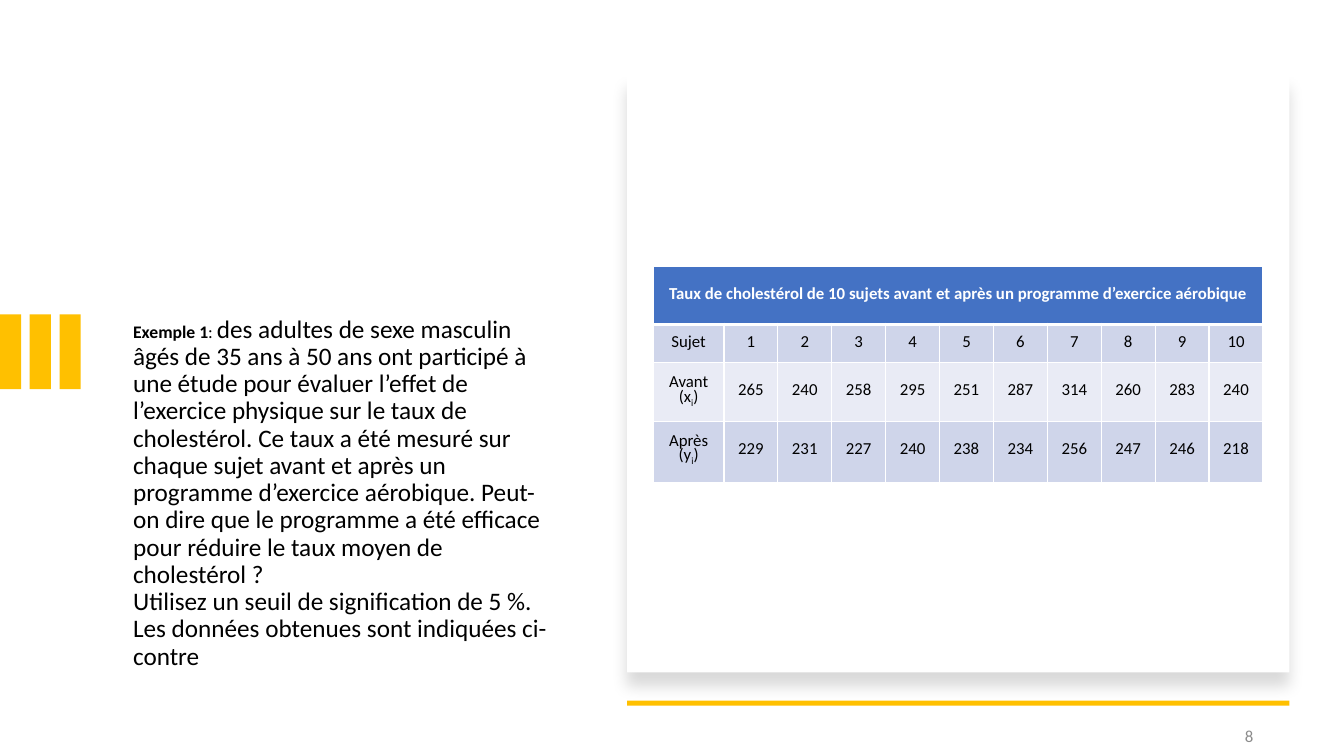
from lxml import etree
from pptx import Presentation
from pptx.dml.color import RGBColor
from pptx.enum.shapes import MSO_SHAPE
from pptx.enum.text import MSO_ANCHOR, MSO_AUTO_SIZE, PP_ALIGN
from pptx.oxml.ns import qn
from pptx.util import Pt

RECT = MSO_SHAPE.RECTANGLE
TOP, MIDDLE = MSO_ANCHOR.TOP, MSO_ANCHOR.MIDDLE
LEFT, CENTER, RIGHT = PP_ALIGN.LEFT, PP_ALIGN.CENTER, PP_ALIGN.RIGHT
NO_FIT = MSO_AUTO_SIZE.NONE
TITLE_ONLY = 5
FONT = "Calibri"
COLORS = {
    "text": "000000", "white": "FFFFFF", "accent": "FFC000", "number": "8C8C8C",
    "header": "4472C4", "dark_band": "CFD5EA", "light_band": "E9EBF5",
}
QUESTION = [
    "des adultes de sexe masculin âgés de 35 ans à 50 ans ont participé à une étude "
    "pour évaluer l’effet de l’exercice physique sur le taux de cholestérol. Ce taux a "
    "été mesuré sur chaque sujet avant et après un programme d’exercice aérobique. "
    "Peut-on dire que le programme a été efficace pour réduire le taux moyen de "
    "cholestérol ?",
    "Utilisez un seuil de signification de 5 %.",
    "Les données obtenues sont indiquées ci-contre",
]
CAPTION = "Taux de cholestérol de 10 sujets avant et après un programme d’exercice aérobique"
BEFORE = [265, 240, 258, 295, 251, 287, 314, 260, 283, 240]
AFTER = [229, 231, 227, 240, 238, 234, 256, 247, 246, 218]


def px(n):
    """Turn px, at 100 to the inch, into EMU."""
    return int(n * 9144)


def rgb(name):
    """Return a named colour."""
    return RGBColor.from_string(COLORS[name])


def add_run(p, text, size=12, color="text", bold=False, baseline=0):
    """Append a formatted run to a paragraph."""
    r = p.add_run()
    r.text = text
    r.font.name, r.font.size, r.font.bold = FONT, Pt(size), bold
    r.font.color.rgb = rgb(color)
    if baseline:
        r.font._element.set("baseline", str(baseline * 1000))


def add_rect(s, x, y, w, h, color):
    """Add a plain filled rectangle."""
    sp = s.shapes.add_shape(RECT, px(x), px(y), px(w), px(h))
    sp.shadow.inherit = False
    sp.fill.solid()
    sp.fill.fore_color.rgb = rgb(color)
    sp.line.fill.background()
    return sp


def add_question(s, x, y, w, h):
    """Place the exercise text in the title placeholder."""
    sp = s.shapes.title
    sp.left, sp.top, sp.width, sp.height = px(x), px(y), px(w), px(h)
    tf = sp.text_frame
    tf.word_wrap, tf.auto_size, tf.vertical_anchor = True, NO_FIT, TOP
    p = tf.paragraphs[0]
    p.alignment, p.line_spacing = LEFT, 0.9
    add_run(p, "Exemple 1", 12.6, bold=True)
    add_run(p, ": ", 12.6)
    for i, line in enumerate(QUESTION):
        if i:
            p.add_line_break()
        add_run(p, line, 18)


def add_bars(s, x, y, w, h, count=3):
    """Draw evenly spaced accent bars across the box."""
    bar = 21
    step = (w - bar) / (count - 1)
    for i in range(count):
        add_rect(s, x + i * step, y, bar, h, "accent")


def add_card(s, x, y, w, h):
    """Draw the shadowed card and the accent rule below it."""
    card = add_rect(s, x, y, w, h, "white")
    effects = card._element.spPr.find(qn("a:effectLst"))
    shadow = etree.SubElement(
        effects, qn("a:outerShdw"), blurRad=str(Pt(11)), dist=str(Pt(10)),
        dir="5400000", algn="t", rotWithShape="0")
    color = etree.SubElement(shadow, qn("a:srgbClr"), val=COLORS["text"])
    etree.SubElement(color, qn("a:alpha"), val="15000")
    add_rect(s, x, y + h + 28, w, 5, "accent")


def add_slide_number(s, x, y, w, h, number):
    """Place the slide number at the right of the box."""
    tf = s.shapes.add_textbox(px(x), px(y), px(w), px(h)).text_frame
    tf.word_wrap, tf.vertical_anchor = True, MIDDLE
    p = tf.paragraphs[0]
    p.alignment, p.space_after = RIGHT, Pt(6)
    add_run(p, number, color="number")


def set_borders(cell, top, bottom):
    """Give a cell white borders of the given top and bottom widths."""
    tc_pr = cell._tc.get_or_add_tcPr()
    widths = {"lnL": 1, "lnR": 1, "lnT": top, "lnB": bottom}
    for i, (side, width) in enumerate(widths.items()):
        ln = etree.Element(qn("a:" + side), w=str(Pt(width)))
        fill = etree.SubElement(ln, qn("a:solidFill"))
        etree.SubElement(fill, qn("a:srgbClr"), val=COLORS["white"])
        tc_pr.insert(i, ln)


def format_cell(cell, color, bottom_margin, space_after):
    """Format a cell and return its paragraph."""
    cell.fill.solid()
    cell.fill.fore_color.rgb = rgb(color)
    cell.vertical_anchor = MIDDLE
    cell.margin_left = cell.margin_right = cell.margin_top = px(7)
    cell.margin_bottom = px(bottom_margin)
    p = cell.text_frame.paragraphs[0]
    p.alignment, p.line_spacing, p.space_after = CENTER, Pt(12), Pt(space_after)
    return p


def add_data_table(s, x, y, w, h):
    """Build the cholesterol table."""
    rows = [
        ("Sujet", None, range(1, 11), 38, "dark_band", 7, 10),
        ("Avant (x", "i", BEFORE, 58, "light_band", 7, 0),
        ("Après (y", "i", AFTER, 61, "dark_band", 10, 0),
    ]
    label_w, n = 70, len(BEFORE)
    table = s.shapes.add_table(len(rows) + 1, n + 1, px(x), px(y), px(w), px(h)).table
    for i, col in enumerate(table.columns):
        col.width = px((w - label_w) / n if i else label_w)
    table.rows[0].height = px(h - sum(row[3] for row in rows))
    table.cell(0, 0).merge(table.cell(0, n))
    p = format_cell(table.cell(0, 0), "header", 7, 8)
    add_run(p, CAPTION, color="white", bold=True)
    for i, (label, index, values, height, color, margin, after) in enumerate(rows, 1):
        table.rows[i].height = px(height)
        p = format_cell(table.cell(i, 0), color, margin, 10)
        add_run(p, label)
        if index:
            add_run(p, index, baseline=-25)
            add_run(p, ")")
        for j, value in enumerate(values, 1):
            add_run(format_cell(table.cell(i, j), color, margin, after), str(value))
    for i in range(len(rows) + 1):
        for j in range(n + 1):
            set_borders(table.cell(i, j), 3 if i == 1 else 1, 3 if i == 0 else 1)


def main():
    """Build and save the slide."""
    prs = Presentation()
    prs.slide_width, prs.slide_height = px(1333), px(750)
    s = prs.slides.add_slide(prs.slide_layouts[TITLE_ONLY])
    add_question(s, 122, 309, 441, 261)
    add_bars(s, 0, 312, 80, 74)
    add_card(s, 622, 74, 657, 593)
    add_slide_number(s, 1129, 710, 124, 40, "8")
    add_data_table(s, 648, 264, 605, 215)
    prs.save("out.pptx")


if __name__ == "__main__":
    main()
